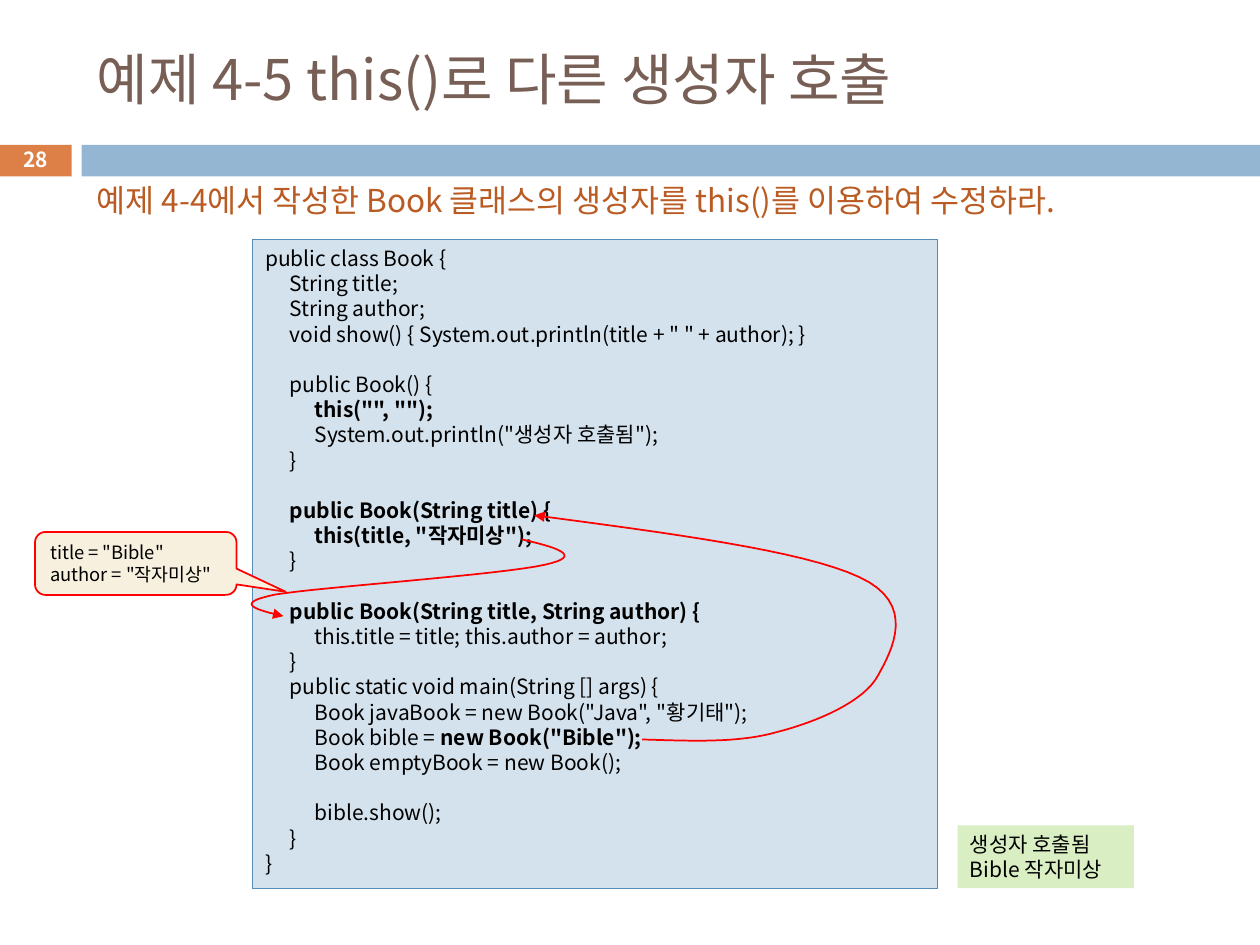
import pptx
import pptx.dml.color
import pptx.enum.shapes
import pptx.enum.text
import pptx.oxml
import pptx.oxml.ns
import pptx.util

Pt = pptx.util.Pt
SHAPE = pptx.enum.shapes.MSO_SHAPE
ANCHOR = pptx.enum.text.MSO_ANCHOR
ALIGN = pptx.enum.text.PP_ALIGN

# Asterisks switch bold on and off.
CODE = """public class Book {
\tString title;
\tString author;
\tvoid show() { System.out.println(title + " " + author); }

\tpublic Book() {
\t\t*this("", "");*
\t\tSystem.out.println("생성자 호출됨");
\t}

\t*public Book(String title) {*
\t\t*this(title, "작자미상");*
\t}

\t*public Book(String title, String author) {*
\t\tthis.title = title; this.author = author;
\t}
\tpublic static void main(String [] args) {
\t\tBook javaBook = new Book("Java", "황기태");
\t\tBook bible = *new Book("Bible");*
\t\tBook emptyBook = new Book();

\t\tbible.show();
\t}
}"""
TITLE_CALL = [(367, 422.6), (394.6, 423.4), (421.9, 424.8), (444.2, 418.3),
              (466.6, 412.6), (493.9, 401), (501.8, 385.9), (509.8, 371.5),
              (524.2, 344.9), (491, 329.8), (458.6, 314.6), (381.6, 304.6),
              (305.3, 294.5)]
THIS_CALL = [(298.1, 308.2), (316.8, 312.5), (334.8, 317.5), (311.8, 322.6),
             (288, 328.3), (182.2, 335.5), (157, 339.8), (132.5, 344.9),
             (146.9, 348.5), (162, 352.1)]


def rgb(value):
    return pptx.dml.color.RGBColor.from_string(value)


def element(tag, **attributes):
    el = pptx.oxml.parse_xml(f"<{tag} {pptx.oxml.ns.nsdecls('a')}/>")
    for name, value in attributes.items():
        el.set(name, str(value))
    return el


def write(tf, text, size=12, color="000000", bold=False, align=ALIGN.LEFT,
          anchor=ANCHOR.TOP, wrap=True, tabs=(), font="Noto Sans CJK KR"):
    """Fill a text frame; an empty line becomes space before the next paragraph."""
    tf.word_wrap = wrap
    tf.vertical_anchor = anchor
    pitch = Pt(size * 1.2)
    p, gap = None, 0
    for line in text.split("\n"):
        if not line:
            gap = pitch
            continue
        p = tf.add_paragraph() if p is not None else tf.paragraphs[0]
        p.alignment = align
        p.line_spacing = pitch
        p.space_before, gap = gap, 0
        if tabs:
            stops = element("a:tabLst")
            for pos in tabs:
                stops.append(element("a:tab", pos=Pt(pos), algn="l"))
            p._p.get_or_add_pPr().append(stops)
        for i, part in enumerate(line.split("*")):
            if part:
                r = p.add_run()
                r.text = part
                r.font.size, r.font.name = Pt(size), font
                r.font.bold = bold or i % 2 == 1
                r.font.color.rgb = rgb(color)
                r._r.get_or_add_rPr().append(element("a:ea", typeface=font))


def bezier(points, steps=16):
    """Points along a chain of cubic curves that share their ends."""
    for k in range(0, len(points) - 1, 3):
        for n in range(1, steps + 1):
            t = n / steps
            weights = ((1 - t) ** 3, 3 * t * (1 - t) ** 2, 3 * t * t * (1 - t), t ** 3)
            yield tuple(Pt(sum(w * pt[axis] for w, pt in zip(weights, points[k:k + 4])))
                        for axis in (0, 1))


class Deck:
    """The style and the current slide."""
    orange, blue = "DD8047", "94B6D2"
    code_fill, code_line = "D4E2ED", "558BB8"
    output_fill, note_fill, call_line = "DAEEC4", "F7F0DE", "FF0000"

    def __init__(self, prs):
        self.s = prs.slides.add_slide(prs.slide_layouts[6])

    def text(self, box, text, **fmt):
        sp = self.s.shapes.add_textbox(*map(Pt, box))
        write(sp.text_frame, text, **fmt)

    def panel(self, box, fill, line=None, width=1, kind=SHAPE.RECTANGLE,
              adjust=(), text="", **fmt):
        sp = self.s.shapes.add_shape(kind, *map(Pt, box))
        sp.shadow.inherit = False
        for i, value in enumerate(adjust):
            sp.adjustments[i] = value
        sp.fill.solid()
        sp.fill.fore_color.rgb = rgb(fill)
        if line:
            sp.line.color.rgb = rgb(line)
            sp.line.width = Pt(width)
        else:
            sp.line.fill.background()
        if text:
            write(sp.text_frame, text, **fmt)

    def curved_arrow(self, points):
        builder = self.s.shapes.build_freeform(*map(Pt, points[0]))
        builder.add_line_segments(list(bezier(points)), close=False)
        sp = builder.convert_to_shape()
        sp.shadow.inherit = False
        sp.fill.background()
        sp.line.color.rgb = rgb(self.call_line)
        sp.line.width = Pt(1)
        sp.line._get_or_add_ln().append(element("a:tailEnd", type="triangle"))


def main():
    prs = pptx.Presentation()
    prs.slide_width, prs.slide_height = Pt(720), Pt(540)
    d = Deck(prs)
    d.panel((0, 82.8, 41, 18), d.orange)
    d.panel((46.6, 82.8, 673.4, 18), d.blue)
    d.text((48.2, 18, 642, 53.3), "예제 4-5 this()로 다른 생성자 호출",
           size=32, color="775F55", anchor=ANCHOR.MIDDLE)
    d.text((-0.7, 81.5, 41.8, 19.4), "28", size=11.9, color="FFFFFF", bold=True,
           align=ALIGN.CENTER, anchor=ANCHOR.MIDDLE)
    d.text((48.2, 100, 616.3, 28.8),
           "예제 4-4에서 작성한 Book 클래스의 생성자를 this()를 이용하여 수정하라.",
           size=18, color="B95B22")
    d.panel((144.4, 136.8, 391.3, 370.8), d.code_fill, d.code_line, 0.75,
            text=CODE, tabs=(14.2, 28.3))
    d.panel((547.2, 471.6, 100.8, 36), d.output_fill,
            text="생성자 호출됨\nBible 작자미상")
    d.curved_arrow(TITLE_CALL)
    d.curved_arrow(THIS_CALL)
    d.panel((20, 304, 115.2, 36), d.note_fill, d.call_line,
            kind=SHAPE.ROUNDED_RECTANGULAR_CALLOUT, adjust=(0.744, 0.451, 0.167),
            text='title = "Bible"\nauthor = "작자미상"', size=10.5,
            anchor=ANCHOR.MIDDLE, wrap=False)
    prs.save("out.pptx")


if __name__ == "__main__":
    main()
